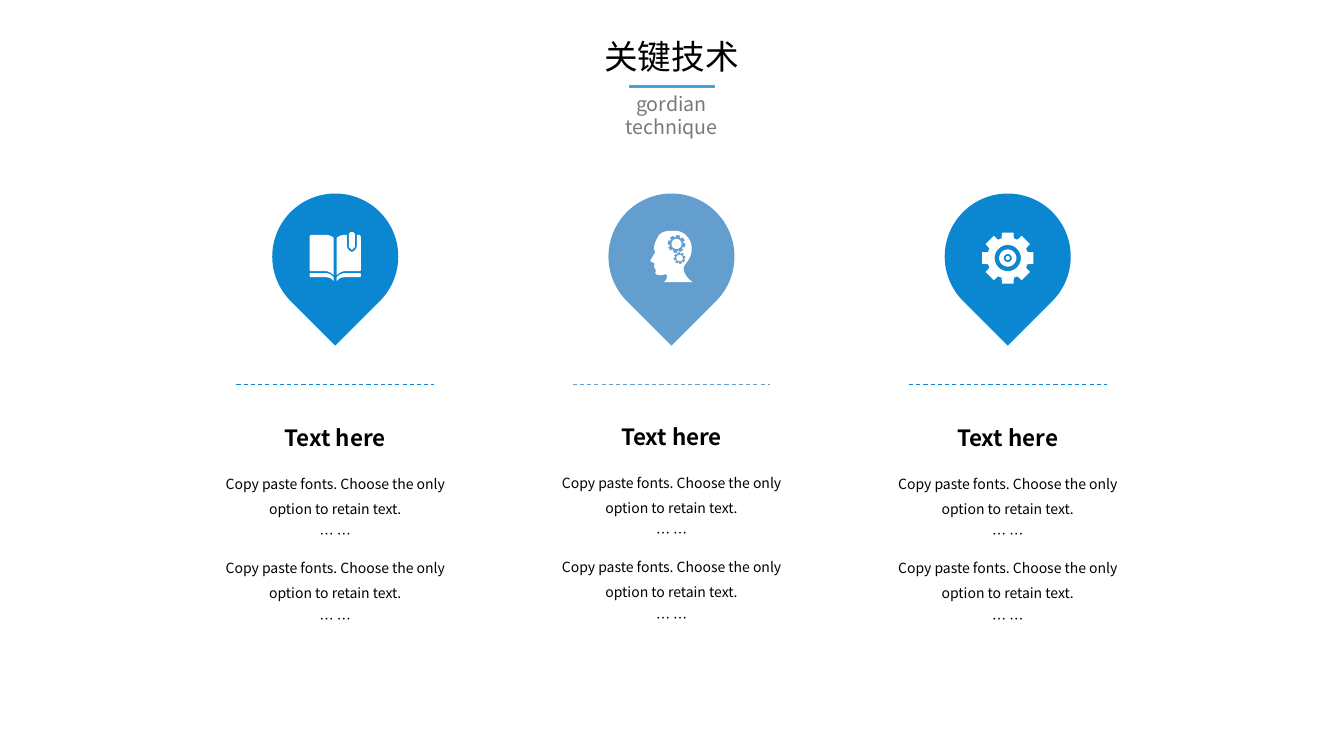
import math
from dataclasses import dataclass

from lxml import etree
from pptx import Presentation
from pptx import util as u
from pptx.dml.color import RGBColor
from pptx.enum import dml, shapes, text
from pptx.oxml import ns

COLORS = {
    "blue": "0A87D0", "soft": "639ECE", "rule": "46A4DB",
    "black": "000000", "gray": "787878", "white": "FFFFFF",
}
FONT = "Noto Sans CJK SC"
UNITS_PER_INCH = 10000
COLUMN_PITCH = 3.335
BODY = ("Copy paste fonts. Choose the only option to retain text.", "… …")


@dataclass(frozen=True)
class TextBlock:
    top: float
    height: float
    paragraphs: tuple
    size: float
    bold: bool = False
    line_spacing: float = 1.0
    anchor: text.MSO_ANCHOR = text.MSO_ANCHOR.TOP


@dataclass(frozen=True)
class Icon:
    left: float
    top: float
    contours: list


@dataclass(frozen=True)
class Column:
    color: str
    text_shift: float
    icon: Icon


def flatten(path: list, steps: int = 10) -> list:
    points = []
    for segment in path:
        if len(segment) == 2:
            points.append(segment)
            continue
        start = points[-1]
        first, second, end = segment[:2], segment[2:4], segment[4:]
        for step in range(1, steps + 1):
            t = step / steps
            weights = ((1 - t) ** 3, 3 * t * (1 - t) ** 2, 3 * t * t * (1 - t), t ** 3)
            corners = (start, first, second, end)
            points.append(tuple(
                sum(weight * corner[axis] for weight, corner in zip(weights, corners))
                for axis in (0, 1)))
    return points


def polar(x: float, y: float, radius: float, degrees: float) -> tuple:
    angle = math.radians(degrees)
    return x + radius * math.sin(angle), y - radius * math.cos(angle)


def circle(x: float, y: float, radius: float) -> list:
    return [polar(x, y, radius, degrees) for degrees in range(0, 360, 6)]


def gear(x: float, y: float, outer: float, inner: float, tilt: float = 0) -> list:
    tooth = ((inner, -17), (outer, -13), (outer, 13), (inner, 17))
    return [polar(x, y, radius, tilt + turn + offset)
            for turn in range(0, 360, 45) for radius, offset in tooth]


def mirror(points: list, width: float) -> list:
    return [(width - x, y) for x, y in points]


def book_icon() -> Icon:
    band = flatten([(27, 49), (27, 45), (30, 42, 32, 41, 35, 41), (50, 41), (51, 42),
                    (51, 44), (50, 45), (35, 45), (32, 45, 29, 46, 27, 49)])
    inner_edge = [(51, 5), (51, 38), (50, 39), (35, 39), (32, 39, 29, 41, 27, 43),
                  (27, 6), (29, 4, 32, 3, 35, 3)]
    notch = [(37, 3), (37, 14), (38, 17), (40, 19), (42, 20), (44, 19), (46, 17),
             (47, 14), (47, 3)]
    right_page = flatten(notch + [(50, 3)] + inner_edge)
    left_page = mirror(flatten([(50, 3)] + inner_edge), 51)
    bookmark = [(41, 0), (43, 0), (45, 2), (45, 15), (43, 17), (42, 18), (41, 17),
                (39, 15), (39, 2)]
    return Icon(3.07, 2.3, [band, mirror(band, 51), right_page, left_page, bookmark])


def head_icon() -> Icon:
    outline = flatten([
        (20, 0), (22, 0, 24, 0, 26, 0), (36, 1, 41, 11, 41, 16),
        (42, 28, 33, 33, 33, 37), (33, 45, 42, 51, 42, 51), (13, 51),
        (13, 51, 18, 49, 16, 43), (15, 43, 12, 44, 10, 44), (7, 44, 5, 43, 5, 42),
        (5, 41, 6, 39, 5, 38), (5, 38, 3, 36, 4, 34), (4, 32), (4, 32, 1, 31, 0, 30),
        (0, 29, 5, 21, 5, 21), (5, 21, 4, 20, 4, 19), (3, 18, 4, 12, 7, 7),
        (9, 2, 14, 0, 20, 0)])
    return Icon(6.45, 2.29, [outline, gear(26, 13, 9, 7, 10), circle(26, 13, 5),
                             gear(29, 27, 6, 4.5, -10), circle(29, 27, 3.2)])


def gear_icon() -> Icon:
    rings = [circle(25.5, 26, radius) for radius in (13, 8.5, 4, 2)]
    return Icon(9.74, 2.3, [gear(25.5, 26, 26, 20.5)] + rings)


def rgb(color: str) -> RGBColor:
    return RGBColor.from_string(COLORS[color])


def write_text(shape, block: TextBlock, color: str = "black") -> None:
    frame = shape.text_frame
    frame_format = {"word_wrap": True, "auto_size": text.MSO_AUTO_SIZE.NONE,
                    "vertical_anchor": block.anchor}
    for name, value in frame_format.items():
        setattr(frame, name, value)
    paragraph_format = {"alignment": text.PP_ALIGN.CENTER, "line_spacing": block.line_spacing}
    font_format = {"name": FONT, "size": u.Pt(block.size), "bold": block.bold}
    for index, content in enumerate(block.paragraphs):
        paragraph = frame.add_paragraph() if index else frame.paragraphs[0]
        for name, value in paragraph_format.items():
            setattr(paragraph, name, value)
        run = paragraph.add_run()
        run.text = content
        for name, value in font_format.items():
            setattr(run.font, name, value)
        run.font.color.rgb = rgb(color)
        latin = run.font._element.find(ns.qn("a:latin"))
        east_asian = etree.Element(ns.qn("a:ea"), typeface=FONT)
        latin.addnext(east_asian)


def add_text(container, left: float, width: float, block: TextBlock,
             color: str = "black") -> None:
    box = container.add_textbox(u.Inches(left), u.Inches(block.top),
                                u.Inches(width), u.Inches(block.height))
    write_text(box, block, color)


def add_line(container, left: float, right: float, y: float, color: str,
             width: float, dash=None) -> None:
    line = container.add_connector(shapes.MSO_CONNECTOR.STRAIGHT, u.Inches(left),
                                   u.Inches(y), u.Inches(right), u.Inches(y))
    line.line.color.rgb = rgb(color)
    line.line.width = u.Pt(width)
    if dash:
        line.line.dash_style = dash
    etree.SubElement(line._element.spPr, ns.qn("a:effectLst"))


def paint(shape, color: str) -> None:
    shape.shadow.inherit = False
    shape.fill.solid()
    shape.fill.fore_color.rgb = rgb(color)
    shape.line.fill.background()


def add_icon(container, icon: Icon) -> None:
    contours = [[((icon.left + x / 100) * UNITS_PER_INCH,
                  (icon.top + y / 100) * UNITS_PER_INCH) for x, y in contour]
                for contour in icon.contours]
    builder = container.build_freeform(*contours[0][0], scale=u.Inches(1) / UNITS_PER_INCH)
    for index, contour in enumerate(contours):
        if index:
            builder.move_to(*contour[0])
        builder.add_line_segments(contour[1:], close=True)
    paint(builder.convert_to_shape(), "white")


def add_column(slide, column: Column, center: float) -> None:
    group = slide.shapes.add_group_shape().shapes
    pin = group.add_shape(shapes.MSO_SHAPE.TEAR, u.Inches(center - 0.625), u.Inches(1.92),
                          u.Inches(1.25), u.Inches(1.25))
    pin.rotation = 135
    paint(pin, column.color)
    add_line(group, center - 0.98, center + 0.98, 3.81, column.color, 0.75,
             dml.MSO_LINE.DASH)
    shift = column.text_shift
    blocks = [TextBlock(4.13 + shift, 0.43, ("Text here",), 16, bold=True,
                        anchor=text.MSO_ANCHOR.MIDDLE)]
    blocks += [TextBlock(top + shift, 0.82, BODY, 10, line_spacing=1.5)
               for top in (4.58, 5.42)]
    for block in blocks:
        add_text(group, center - 1.185, 2.37, block)
    add_icon(group, column.icon)


def main() -> None:
    presentation = Presentation()
    presentation.slide_width = u.Inches(13.33)
    presentation.slide_height = u.Inches(7.5)
    slide = presentation.slides.add_slide(presentation.slide_layouts[5])
    title = slide.shapes.title
    title_place = {"left": 5.61, "top": 0.31, "width": 2.1, "height": 0.5}
    for name, value in title_place.items():
        setattr(title, name, u.Inches(value))
    write_text(title, TextBlock(0.31, 0.5, ("关键技术",), 24))
    add_line(slide.shapes, 6.24, 7.09, 0.86, "rule", 2.25)
    add_text(slide.shapes, 5.83, 1.66, TextBlock(0.86, 0.34, ("gordian technique",), 14),
             "gray")
    columns = (Column("blue", 0, book_icon()), Column("soft", -0.01, head_icon()),
               Column("blue", 0, gear_icon()))
    for index, column in enumerate(columns):
        add_column(slide, column, 6.66 + (index - 1) * COLUMN_PITCH)
    presentation.save("out.pptx")


if __name__ == "__main__":
    main()
